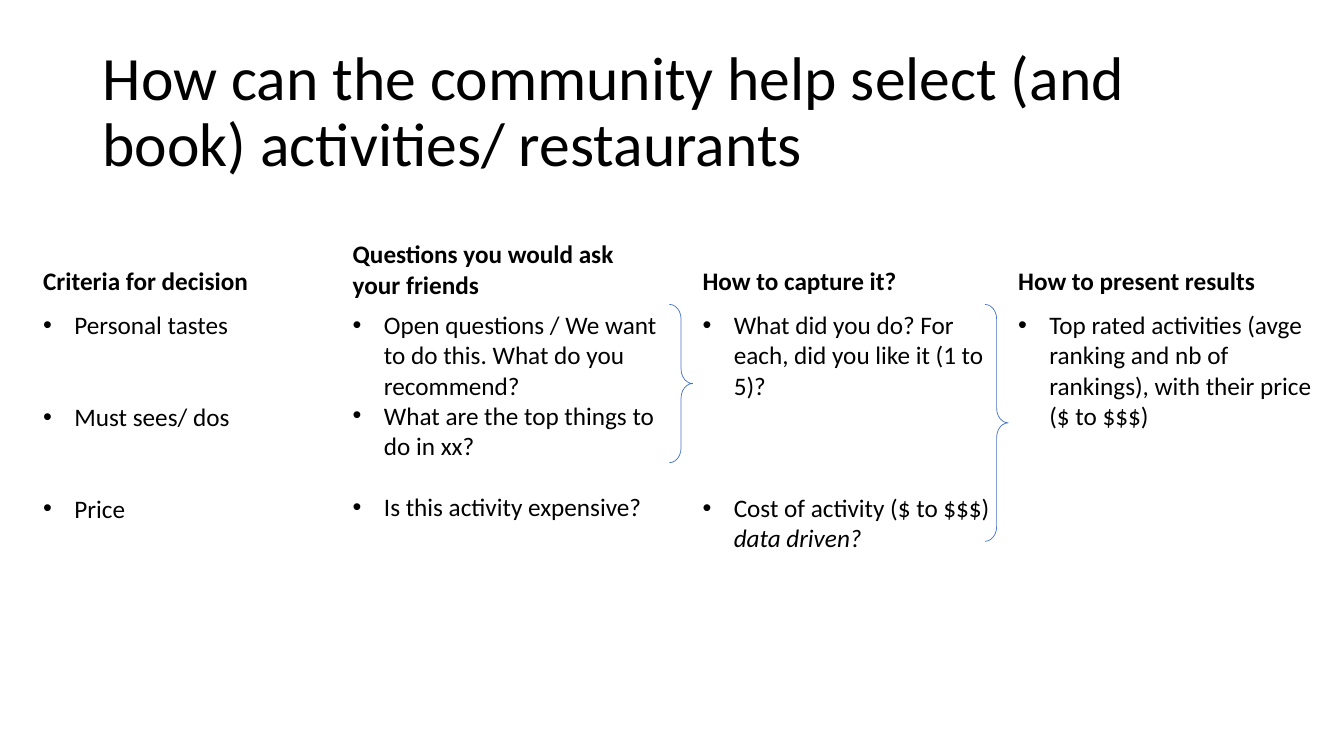
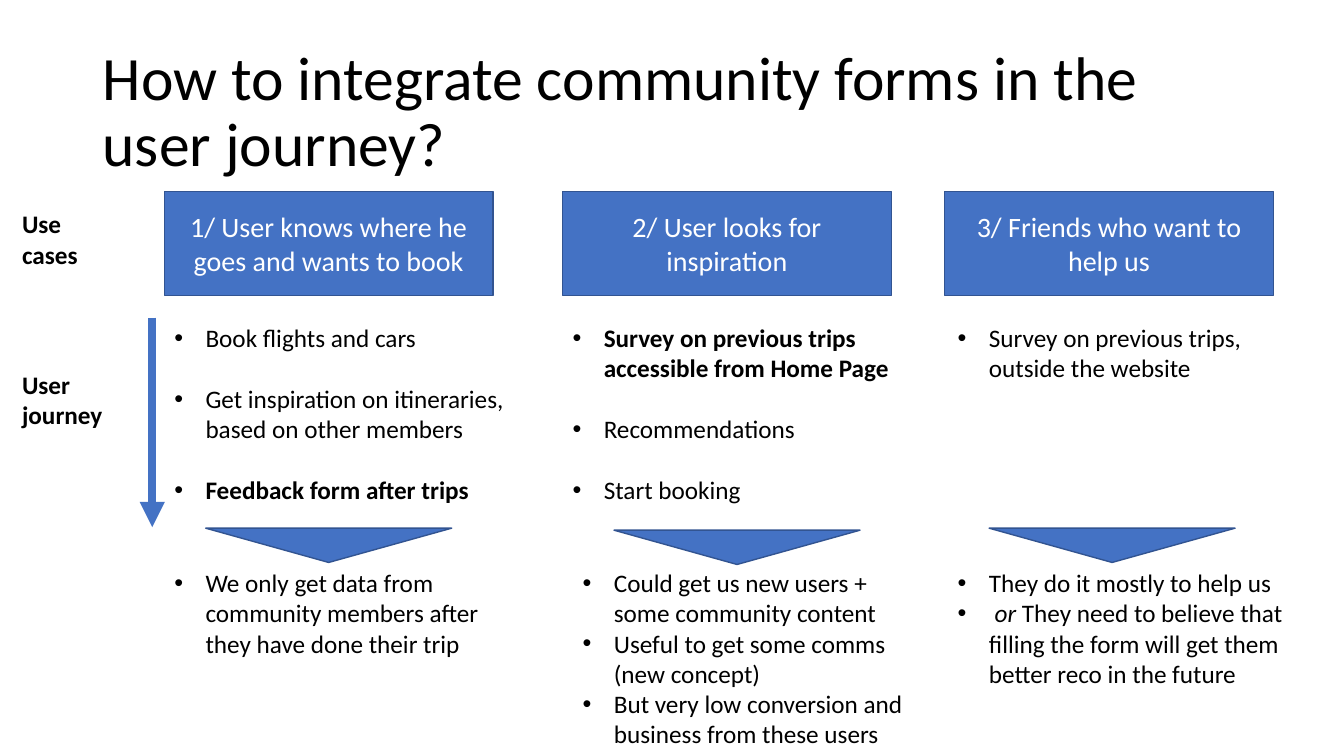
from dataclasses import dataclass

from lxml.etree import SubElement
from pptx import Presentation
from pptx.dml.color import RGBColor
from pptx.enum.shapes import MSO_CONNECTOR, MSO_SHAPE
from pptx.enum.text import MSO_ANCHOR, PP_ALIGN
from pptx.oxml.ns import qn
from pptx.util import Inches, Pt

COLORS = {"text": "000000", "accent": "4472C4", "edge": "325491", "on_accent": "FFFFFF"}
FONT = "Calibri"
BODY_SIZE = 18
BODY_LINE = 22  # height of one body line in points
BULLET_INDENT = 0.31


@dataclass
class Item:
    """A bullet: a string or (text, italic) runs, with blank lines above it."""
    content: object
    lines_above: int = 0
    bold: bool = False


@dataclass
class QuestionColumn:
    """One step of the decision process, with the height of its closing brace."""
    heading: str
    left: float
    width: float
    heading_top: float
    items: list
    brace_height: float = 0


@dataclass
class UseCase:
    """One use case: its card, its user journey and its outcome."""
    heading: str
    card_left: float
    journey_left: float
    outcome_left: float
    pointer_top: float
    journey: list
    outcome: list


def color(name):
    """Look up a shared colour."""
    return RGBColor.from_string(COLORS[name])


def style(paragraph, size=BODY_SIZE, bold=False, ink="text"):
    """Apply the shared font to a paragraph."""
    font = paragraph.font
    font.name, font.size, font.bold = FONT, Pt(size), bold
    font.color.rgb = color(ink)


def text_frame(slide, left, top, width, height):
    """Add a wrapping text box and return its frame."""
    frame = slide.shapes.add_textbox(
        Inches(left), Inches(top), Inches(width), Inches(height)).text_frame
    frame.word_wrap = True
    return frame


def add_title(slide, title):
    """Place the slide title."""
    frame = text_frame(slide, 0.92, 0.4, 11.5, 1.45)
    frame.vertical_anchor = MSO_ANCHOR.MIDDLE
    paragraph = frame.paragraphs[0]
    paragraph.text = title
    paragraph.line_spacing = 0.9
    style(paragraph, 44)


def add_label(slide, label, left, top, width, height):
    """Place a bold label."""
    paragraph = text_frame(slide, left, top, width, height).paragraphs[0]
    paragraph.text = label
    style(paragraph, bold=True)


def add_bullet(paragraph):
    """Give a paragraph a round bullet with a hanging indent."""
    properties = paragraph._p.get_or_add_pPr()
    properties.set("marL", str(Inches(BULLET_INDENT)))
    properties.set("indent", str(-Inches(BULLET_INDENT)))
    SubElement(properties, qn("a:buFont"), typeface="Arial")
    SubElement(properties, qn("a:buChar"), char="•")


def add_bullets(slide, items, left, top, width, height):
    """Place a bulleted list."""
    frame = text_frame(slide, left, top, width, height)
    for index, item in enumerate(items):
        paragraph = frame.add_paragraph() if index else frame.paragraphs[0]
        add_bullet(paragraph)
        paragraph.space_before = Pt(BODY_LINE * item.lines_above)
        style(paragraph, bold=item.bold)
        if isinstance(item.content, str):
            paragraph.text = item.content
            continue
        for text, italic in item.content:
            run = paragraph.add_run()
            run.text = text
            run.font.italic = italic


def add_block(slide, kind, left, top, width, height):
    """Add a filled shape in the accent colour."""
    block = slide.shapes.add_shape(
        kind, Inches(left), Inches(top), Inches(width), Inches(height))
    block.shadow.inherit = False
    block.fill.solid()
    block.fill.fore_color.rgb = color("accent")
    block.line.color.rgb = color("edge")
    block.line.width = Pt(1)
    return block


def add_brace(slide, right, top, height):
    """Add a thin brace that ends at the given right edge."""
    width = 0.23
    brace = slide.shapes.add_shape(
        MSO_SHAPE.RIGHT_BRACE, Inches(right - width), Inches(top),
        Inches(width), Inches(height))
    brace.adjustments[0] = 0.63
    brace.shadow.inherit = False
    brace.fill.background()
    brace.line.color.rgb = color("accent")
    brace.line.width = Pt(0.5)


def add_down_arrow(slide, x, top, bottom):
    """Add the thick arrow along the user journey."""
    arrow = slide.shapes.add_connector(
        MSO_CONNECTOR.STRAIGHT, Inches(x), Inches(top), Inches(x), Inches(bottom))
    arrow.line.color.rgb = color("accent")
    arrow.line.width = Pt(6)
    SubElement(arrow.line._get_or_add_ln(), qn("a:tailEnd"), type="triangle")
    SubElement(arrow._element.spPr, qn("a:effectLst"))


def add_question_column(slide, column, top=3.02):
    """Place a heading, its bullets and the brace to the next column."""
    add_label(slide, column.heading, column.left, column.heading_top,
              column.width, top - column.heading_top)
    add_bullets(slide, column.items, column.left, top, column.width, 2.22)
    if column.brace_height:
        add_brace(slide, column.left + column.width, top, column.brace_height)


def add_use_case(slide, case, journey_top=3.15, outcome_top=5.58):
    """Place a card, its journey, a pointer and its outcome."""
    card = add_block(slide, MSO_SHAPE.RECTANGLE, case.card_left, 1.9, 3.26, 1.03)
    card.text_frame.word_wrap = True
    card.text_frame.vertical_anchor = MSO_ANCHOR.MIDDLE
    heading = card.text_frame.paragraphs[0]
    heading.text = case.heading
    heading.alignment = PP_ALIGN.CENTER
    style(heading, 20, ink="on_accent")

    add_bullets(slide, case.journey, case.journey_left, journey_top, 3.49, 1.92)
    pointer = add_block(slide, MSO_SHAPE.ISOSCELES_TRIANGLE,
                        case.outcome_left + 0.41, case.pointer_top, 2.44, 0.34)
    pointer.rotation = 180
    add_bullets(slide, case.outcome, case.outcome_left, outcome_top, 3.49, 1.92)


def build_questions(slide):
    """Build the slide on selecting activities."""
    add_title(slide, "How can the community help select (and book) activities/ restaurants")
    columns = [
        QuestionColumn("Criteria for decision", 0.33, 3.07, 2.58, [
            Item("Personal tastes"),
            Item("Must sees/ dos", 2),
            Item("Price", 2)]),
        QuestionColumn("Questions you would ask your friends", 3.4, 3.29, 2.32, [
            Item("Open questions / We want to do this. What do you recommend?"),
            Item("What are the top things to do in xx?"),
            Item("Is this activity expensive?", 1)]),
        QuestionColumn("How to capture it?", 6.87, 3.13, 2.58, [
            Item("What did you do? For each, did you like it (1 to 5)?"),
            Item([("Cost of activity ($ to $$$) ", False), ("data driven?", True)], 3)]),
        QuestionColumn("How to present results", 10, 3.13, 2.58, [
            Item("Top rated activities (avge ranking and nb of rankings), "
                 "with their price ($ to $$$)")]),
    ]
    columns[1].width = 3.29
    for column in columns:
        add_question_column(slide, column)
    for following, height in ((columns[2], 1.57), (columns[3], 2.35)):
        add_brace(slide, following.left, 3.02, height)


def build_journey(slide):
    """Build the slide on forms in the user journey."""
    add_title(slide, "How to integrate community forms in the user journey?")
    for label, top in (("Use cases", 2.02), ("User journey", 3.61)):
        add_label(slide, label, 0.12, top, 1.01, 0.71)
    cases = [
        UseCase("1/ User knows where he goes and wants to book", 1.63, 1.63, 1.63, 5.24, [
            Item("Book flights and cars"),
            Item("Get inspiration on itineraries, based on other members", 1),
            Item("Feedback form after trips", 1, bold=True)], [
            Item("We only get data from community members after they have done their trip")]),
        UseCase("2/ User looks for inspiration", 5.58, 5.58, 5.68, 5.26, [
            Item("Survey on previous trips accessible from Home Page", bold=True),
            Item("Recommendations", 1),
            Item("Start booking", 1)], [
            Item("Could get us new users + some community content"),
            Item("Useful to get some comms (new concept)"),
            Item("But very low conversion and business from these users")]),
        UseCase("3/ Friends who want to help us", 9.37, 9.4, 9.4, 5.24, [
            Item("Survey on previous trips, outside the website")], [
            Item("They do it mostly to help us"),
            Item([(" or ", True),
                  ("They need to believe that filling the form will get them "
                   "better reco in the future", False)])]),
    ]
    for case in cases:
        add_use_case(slide, case)
    add_down_arrow(slide, 1.51, 3.15, 5.23)


def main():
    """Build and save the presentation."""
    deck = Presentation()
    deck.slide_width, deck.slide_height = Inches(13.33), Inches(7.5)
    blank = deck.slide_layouts[6]
    for build in (build_questions, build_journey):
        build(deck.slides.add_slide(blank))
    deck.save("out.pptx")


main()
